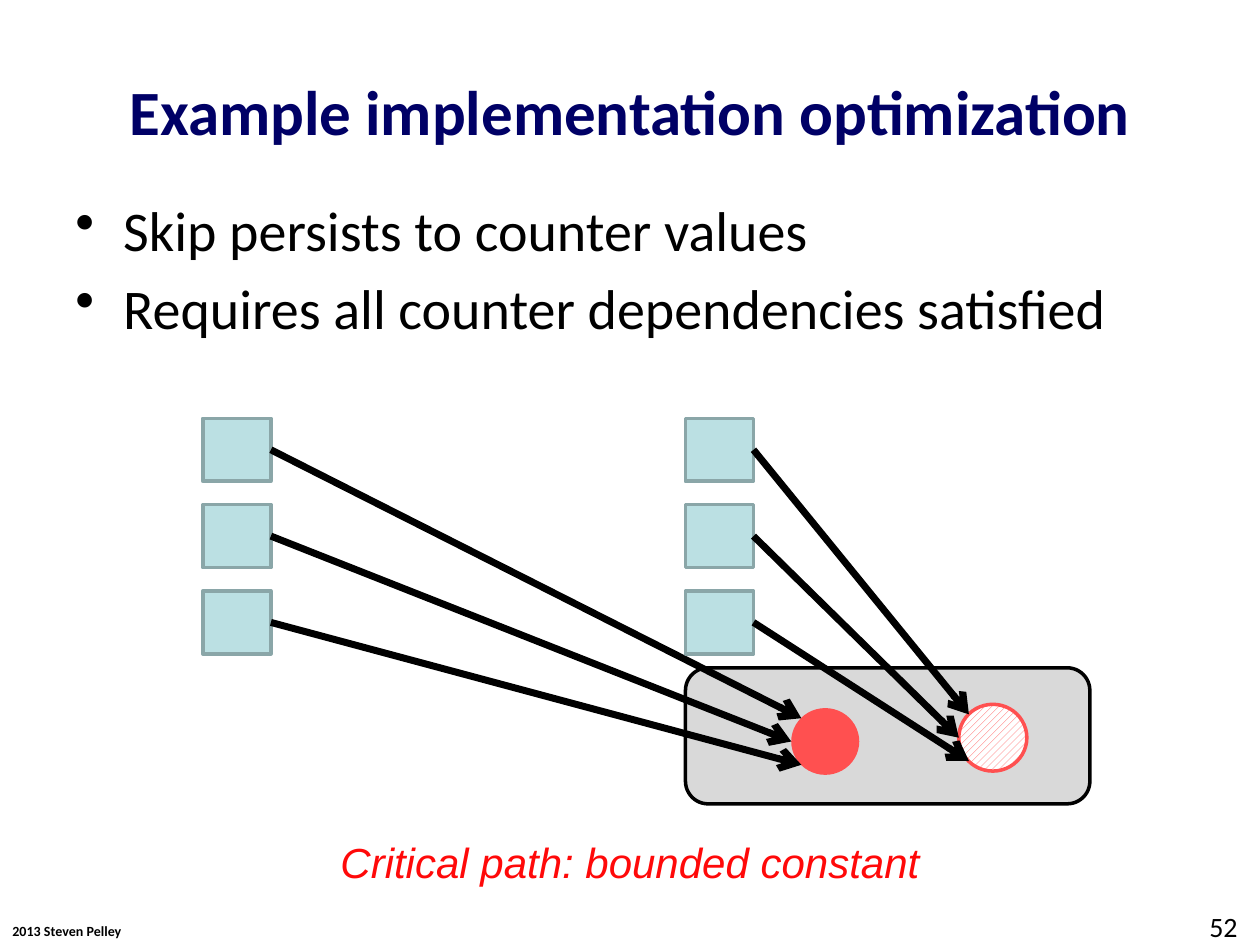
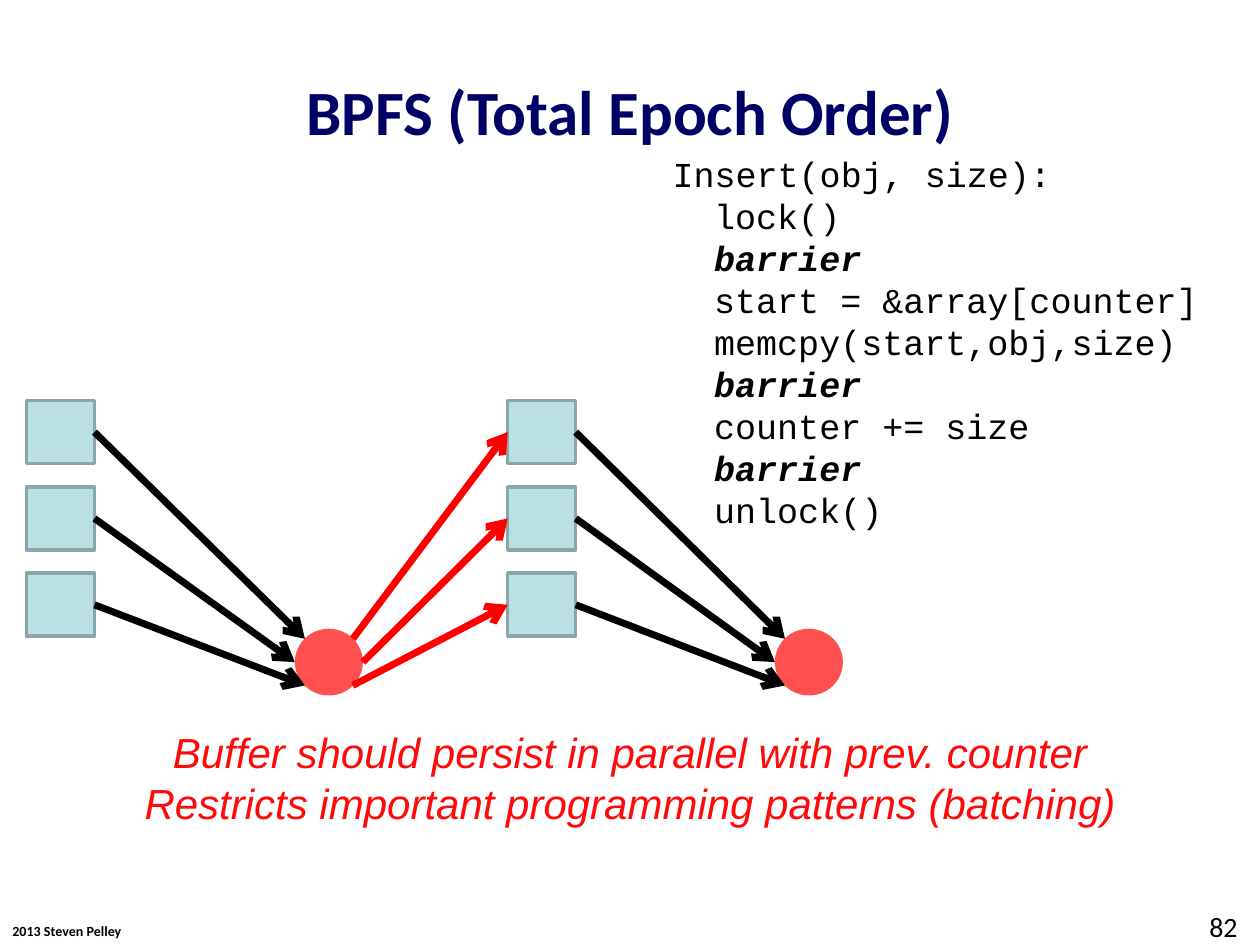
"""Builds two slides on persist ordering with dependency diagrams."""
import pptx
import pptx.dml.color
import pptx.enum.dml
import pptx.enum.shapes
import pptx.enum.text
import pptx.oxml
import pptx.oxml.ns
import pptx.util
from pptx.util import Inches

COLORS = {
    "title": "000066", "black": "000000", "white": "FFFFFF",
    "square": "BBE0E3", "square_line": "8AA6A8", "counter": "FF5050",
    "panel": "D9D9D9", "note": "FF0909", "red": "FF0000",
}
SHAPE = pptx.enum.shapes.MSO_SHAPE
ALIGN = pptx.enum.text.PP_ALIGN
SQUARE_W, SQUARE_H, SQUARE_PITCH = 0.54, 0.5, 0.685
CIRCLE_W, CIRCLE_H = 0.54, 0.53
EDGE_INSET = 0.08
CODE_INDENT = 0.33


def rgb(name):
    """Return the named colour."""
    return pptx.dml.color.RGBColor.from_string(COLORS[name])


def edge_points(x, y, right=False):
    """Return upper, middle and lower points on one side of a circle."""
    ys = (y + EDGE_INSET, y + CIRCLE_H / 2, y + CIRCLE_H - EDGE_INSET)
    xs = (EDGE_INSET, 0, EDGE_INSET)
    return [(x + CIRCLE_W - dx if right else x + dx, py) for dx, py in zip(xs, ys)]


def square_points(x, y, right=False):
    """Return the side midpoints of a column of three squares."""
    px = x + SQUARE_W if right else x
    return [(px, y + i * SQUARE_PITCH + SQUARE_H / 2) for i in range(3)]


class Deck:
    """Holds the style and the current slide."""

    def __init__(self):
        """Start an empty presentation."""
        self.prs = pptx.Presentation()
        self.prs.slide_width, self.prs.slide_height = Inches(10), Inches(7.5)

    def slide(self, title, number):
        """Add a slide with its title, footer and number."""
        self.s = self.prs.slides.add_slide(self.prs.slide_layouts[6])
        self.text((0, 7.27, 1.07, 0.24), ["2013 Steven Pelley"], 8, bold=True, wrap=False)
        tf = self.text((0.5, 0.5, 9, 0.75), [title], 36, color="title",
                       bold=True, align=ALIGN.CENTER)
        tf.vertical_anchor = pptx.enum.text.MSO_ANCHOR.MIDDLE
        self.text((9.5, 7.17, 0.5, 0.33), [str(number)], 16)

    def text(self, box, lines, size, font="Calibri", color="black", bold=False,
             italic=False, align=ALIGN.LEFT, wrap=True):
        """Add a text box with one paragraph per line."""
        tf = self.s.shapes.add_textbox(*map(Inches, box)).text_frame
        tf.word_wrap = wrap
        for i, line in enumerate(lines):
            p = tf.paragraphs[0] if i == 0 else tf.add_paragraph()
            p.alignment = align
            r = p.add_run()
            r.text = line
            r.font.name, r.font.size = font, pptx.util.Pt(size)
            r.font.bold, r.font.italic = bold, italic
            r.font.color.rgb = rgb(color)
        return tf

    def bullets(self, box, lines):
        """Add a bulleted list."""
        for p in self.text(box, lines, 32).paragraphs:
            p.space_before = pptx.util.Pt(6.4)
            pPr = p._p.get_or_add_pPr()
            pPr.set("marL", str(Inches(0.38)))
            pPr.set("indent", str(-Inches(0.38)))
            bu = pptx.oxml.parse_xml(
                f'<a:buChar {pptx.oxml.ns.nsdecls("a")} char="•"/>')
            pPr.append(bu)

    def code(self, box, header, body):
        """Add a code listing with an indented body and stressed barriers."""
        tf = self.text(box, [header] + body, 20, "Courier New")
        for p in tf.paragraphs[1:]:
            p._p.get_or_add_pPr().set("marL", str(Inches(CODE_INDENT)))
            font = p.runs[0].font
            font.bold = font.italic = p.text == "barrier"

    def note(self, box, lines, wrap=True):
        """Add a centred red remark."""
        self.text(box, lines, 24, "Arial", "note", italic=True,
                  align=ALIGN.CENTER, wrap=wrap)

    def shape(self, kind, box, fill, line=None, hatched=False):
        """Add a preset shape."""
        sp = self.s.shapes.add_shape(kind, *map(Inches, box))
        sp.shadow.inherit = False
        if hatched:
            sp.fill.patterned()
            sp.fill.pattern = pptx.enum.dml.MSO_PATTERN.WIDE_UPWARD_DIAGONAL
            sp.fill.fore_color.rgb, sp.fill.back_color.rgb = rgb(fill), rgb("white")
        else:
            sp.fill.solid()
            sp.fill.fore_color.rgb = rgb(fill)
        if line:
            sp.line.color.rgb, sp.line.width = rgb(line), pptx.util.Pt(2)
        else:
            sp.line.fill.background()

    def arrows(self, starts, ends, color="black"):
        """Add an arrow from each start to its end."""
        ns = pptx.oxml.ns.nsdecls("a")
        for start, end in zip(starts, ends):
            sp = self.s.shapes.add_connector(
                pptx.enum.shapes.MSO_CONNECTOR.STRAIGHT, *map(Inches, start + end))
            sp.line.color.rgb, sp.line.width = rgb(color), pptx.util.Pt(4)
            spPr = sp._element.spPr
            spPr.find(pptx.oxml.ns.qn("a:ln")).append(
                pptx.oxml.parse_xml(f'<a:tailEnd {ns} type="arrow"/>'))
            spPr.append(pptx.oxml.parse_xml(f"<a:effectLst {ns}/>"))

    def insert(self, squares, counter, hatched=False):
        """Add a column of data persists that lead to a counter persist."""
        x, y = squares
        for i in range(3):
            self.shape(SHAPE.RECTANGLE, (x, y + i * SQUARE_PITCH, SQUARE_W, SQUARE_H),
                       "square", "square_line")
        self.shape(SHAPE.OVAL, counter + (CIRCLE_W, CIRCLE_H), "counter",
                   "counter" if hatched else None, hatched)
        self.arrows(square_points(x, y, right=True), edge_points(*counter))


def main():
    """Build both slides and save them."""
    d = Deck()

    d.slide("Example implementation optimization", 52)
    d.bullets((0.5, 1.5, 9, 5.2), ["Skip persists to counter values",
                                   "Requires all counter dependencies satisfied"])
    d.shape(SHAPE.ROUNDED_RECTANGLE, (5.44, 5.3, 3.21, 1.08), "panel", "black")
    d.insert((1.61, 3.32), (6.28, 5.62))
    d.insert((5.44, 3.32), (7.61, 5.59), hatched=True)
    d.note((2.53, 6.59, 4.94, 0.5), ["Critical path: bounded constant"], wrap=False)

    d.slide("BPFS (Total Epoch Order)", 82)
    d.code((5.24, 1.16, 4.53, 3.13), "Insert(obj, size):",
           ["lock()", "barrier", "start = &array[counter]", "memcpy(start,obj,size)",
            "barrier", "counter += size", "barrier", "unlock()"])
    first_counter, second_squares = (2.34, 4.99), (4.03, 3.18)
    d.insert((0.21, 3.18), first_counter)
    d.insert(second_squares, (6.15, 4.99))
    d.arrows(edge_points(*first_counter, right=True), square_points(*second_squares), "red")
    d.note((0.79, 5.72, 8.42, 0.91),
           ["Buffer should persist in parallel with prev. counter",
            "Restricts important programming patterns (batching)"])

    d.prs.save("out.pptx")


if __name__ == "__main__":
    main()
